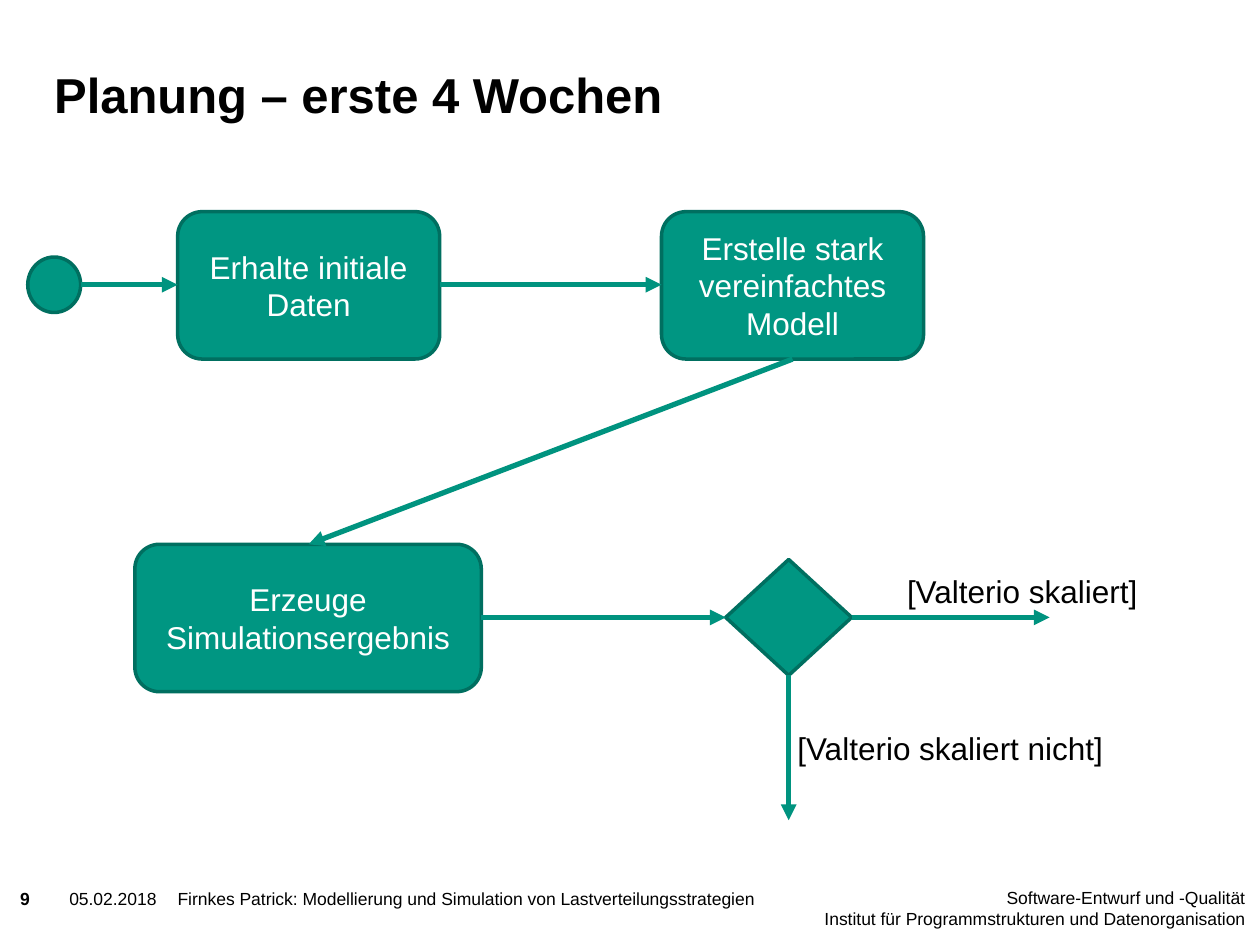
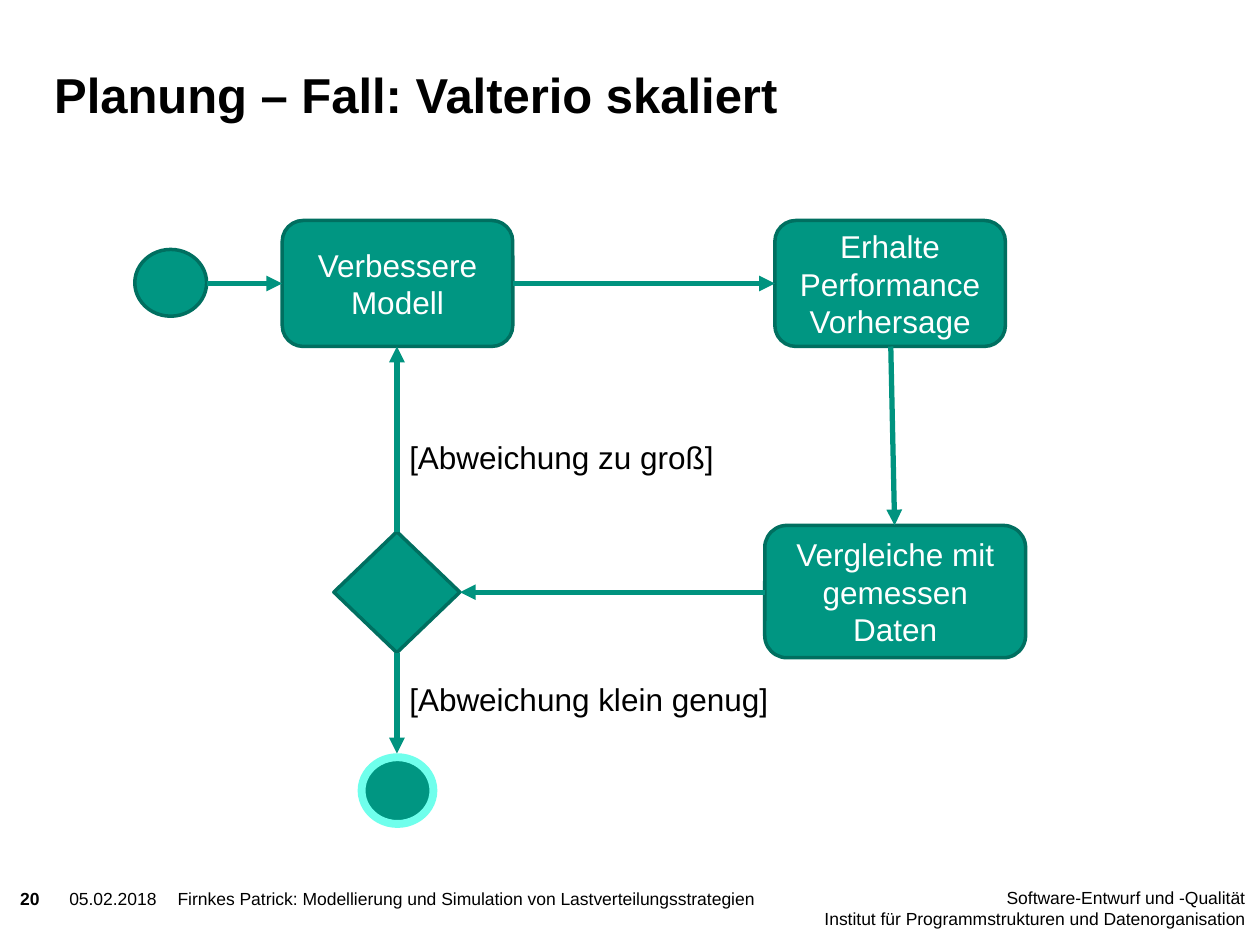
from lxml.etree import SubElement
from pptx import Presentation
from pptx.dml.color import RGBColor
from pptx.enum.shapes import MSO_CONNECTOR, MSO_SHAPE
from pptx.enum.text import MSO_ANCHOR, MSO_AUTO_SIZE, PP_ALIGN
from pptx.oxml.ns import qn
from pptx.util import Emu, Pt

SCALE = 9144  # EMU per px, 100 px to the inch
FONT = "Arial"
HEX = {"fill": "009682", "edge": "006F60", "arrow": "00937F",
       "ring": "6FFFEC", "text": "000000", "light": "FFFFFF"}
RGB = {name: RGBColor.from_string(code) for name, code in HEX.items()}

BOX, DOT, GEM = MSO_SHAPE.ROUNDED_RECTANGLE, MSO_SHAPE.OVAL, MSO_SHAPE.DIAMOND
FORK, NODE = MSO_SHAPE.FLOWCHART_DECISION, MSO_SHAPE.FLOWCHART_CONNECTOR

# Steps: form, box, text, edge colour, edge width; arrows: x1, y1, x2, y2
SLIDES = [
    {"title": "Planung – erste 4 Wochen", "page": "9",
     "steps": [
         (BOX, (141, 168, 208, 117), "Erhalte initiale Daten", "edge", 2),
         (BOX, (525, 168, 208, 117), "Erstelle stark vereinfachtes Modell", "edge", 2),
         (BOX, (107, 432, 275, 117), "Erzeuge Simulationsergebnis", "edge", 2),
         (DOT, (22, 204, 42, 44), "", "edge", 2),
         (GEM, (576, 444, 100, 92), "", "edge", 2)],
     "arrows": [(64, 226, 141, 226), (349, 226, 525, 226), (629, 285, 245, 432),
                (382, 490, 576, 490), (676, 490, 833, 490), (626, 536, 626, 651)],
     "labels": [((710, 449, 211, 40), "[Valterio skaliert]"),
                ((623, 574, 271, 40), "[Valterio skaliert nicht]")]},
    {"title": "Planung – Fall: Valterio skaliert", "page": "20",
     "steps": [
         (BOX, (615, 175, 183, 100), "Erhalte Performance Vorhersage", "edge", 2),
         (BOX, (224, 175, 183, 100), "Verbessere Modell", "edge", 2),
         (BOX, (607, 417, 207, 105), "Vergleiche mit gemessen Daten", "edge", 2),
         (FORK, (265, 422, 100, 96), "", "edge", 2),
         (NODE, (107, 198, 57, 53), "", "edge", 2),
         (NODE, (287, 601, 57, 53), "", "ring", 4.5)],
     "arrows": [(164, 225, 224, 225), (407, 225, 615, 225), (707, 275, 710, 417),
                (607, 470, 365, 470), (315, 518, 315, 598), (315, 422, 315, 275)],
     "labels": [((315, 535, 308, 40), "[Abweichung klein genug]"),
                ((315, 343, 264, 40), "[Abweichung zu groß]")]},
]


def px(*nums):
    return [Emu(n * SCALE) for n in nums]


def put(shape, text, size, color="text", bold=False, align=PP_ALIGN.LEFT, inset=True):
    """Fill the shape with text, one run a line; inset False drops the margins."""
    frame = shape.text_frame
    if not inset:
        frame.margin_left = frame.margin_right = 0
        frame.margin_top = frame.margin_bottom = 0
    frame.word_wrap = True
    para = frame.paragraphs[0]
    para.alignment = align
    for i, line in enumerate(text.split("\n")):
        if i:
            para.add_line_break()
        run = para.add_run()
        run.text = line
        run.font.name, run.font.size, run.font.bold = FONT, Pt(size), bold
        run.font.color.rgb = RGB[color]
    return frame


prs = Presentation()
prs.slide_width, prs.slide_height = px(1000, 750)

for page in SLIDES:
    slide = prs.slides.add_slide(prs.slide_layouts[5])
    shapes = slide.shapes

    title = shapes.title
    title.left, title.top, title.width, title.height = px(43, 37, 756, 61)
    frame = put(title, page["title"], 28, bold=True, inset=False)
    frame.vertical_anchor = MSO_ANCHOR.BOTTOM
    frame.auto_size = MSO_AUTO_SIZE.NONE

    for box, text, bold, align in [
        ((640, 704, 348, 39), "Software-Entwurf und -Qualität\n"
         "Institut für Programmstrukturen und Datenorganisation", False, PP_ALIGN.RIGHT),
        ((16, 705, 36, 24), page["page"], True, PP_ALIGN.LEFT),
        ((55, 705, 94, 39), "05.02.2018", False, PP_ALIGN.LEFT),
        ((141, 705, 497, 39), "Firnkes Patrick: Modellierung und Simulation "
         "von Lastverteilungsstrategien", False, PP_ALIGN.LEFT),
    ]:
        put(shapes.add_textbox(*px(*box)), text, 10, bold=bold, align=align, inset=False)

    for form, box, text, edge, width in page["steps"]:
        step = shapes.add_shape(form, *px(*box))
        step.shadow.inherit = False
        step.fill.solid()
        step.fill.fore_color.rgb = RGB["fill"]
        step.line.color.rgb = RGB[edge]
        step.line.width = Pt(width)
        if text:
            frame = put(step, text, 18, "light", align=PP_ALIGN.CENTER)
            frame.vertical_anchor = MSO_ANCHOR.MIDDLE

    for ends in page["arrows"]:
        arrow = shapes.add_connector(MSO_CONNECTOR.STRAIGHT, *px(*ends))
        arrow.line.color.rgb = RGB["arrow"]
        arrow.line.width = Pt(3)
        SubElement(arrow.line._get_or_add_ln(), qn("a:tailEnd"), type="triangle")
        SubElement(arrow._element.spPr, qn("a:effectLst"))

    for box, text in page["labels"]:
        put(shapes.add_textbox(*px(*box)), text, 18).word_wrap = False

prs.save("out.pptx")
